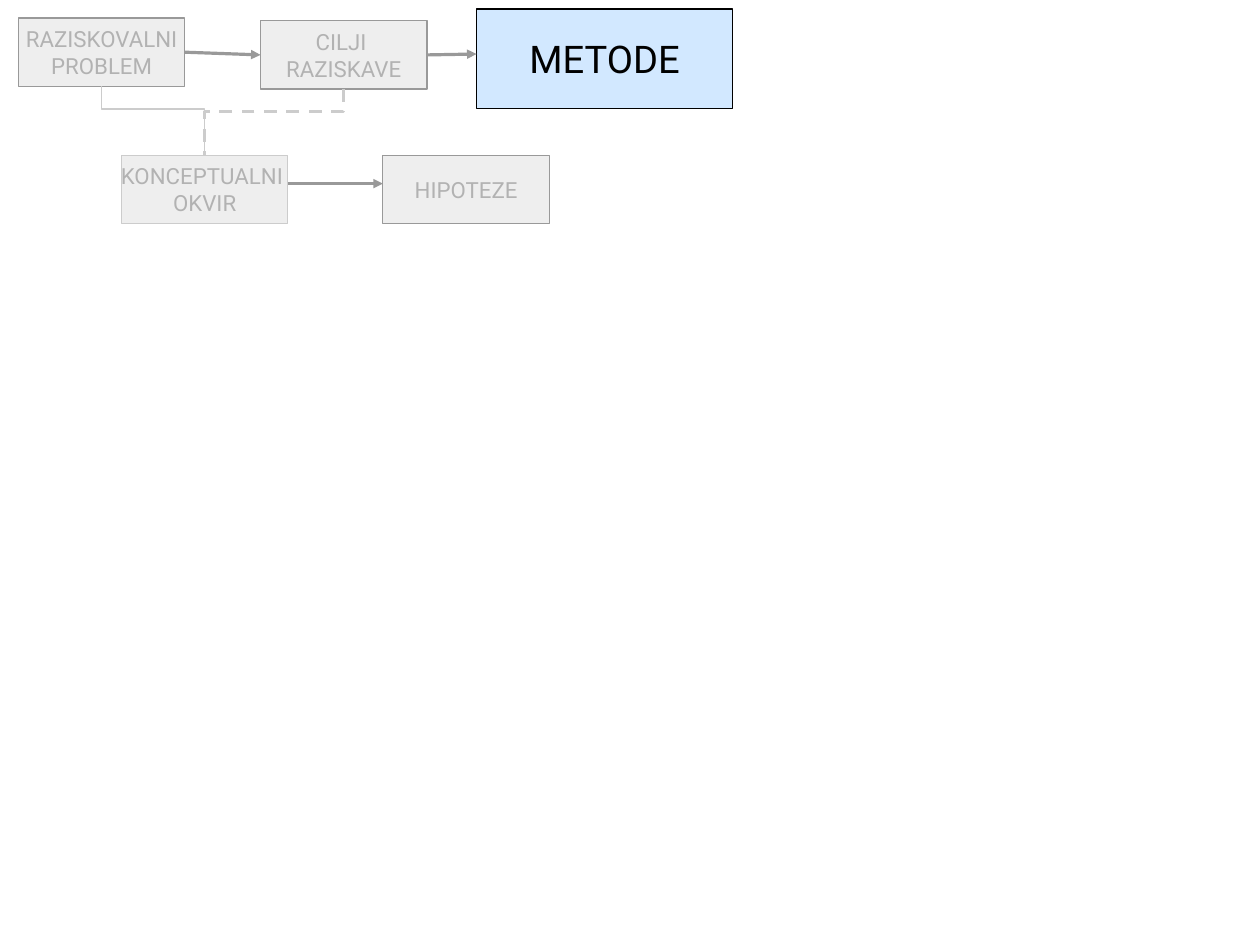
from dataclasses import dataclass

from lxml import etree
from pptx import Presentation
from pptx.dml.color import RGBColor
from pptx.enum.dml import MSO_LINE
from pptx.enum.shapes import MSO_CONNECTOR, MSO_SHAPE
from pptx.enum.text import MSO_ANCHOR, PP_ALIGN
from pptx.oxml.ns import qn
from pptx.util import Cm, Pt

RECT = MSO_SHAPE.RECTANGLE
LINE, ELBOW = MSO_CONNECTOR.STRAIGHT, MSO_CONNECTOR.ELBOW
DASH = MSO_LINE.DASH
MIDDLE, CENTER = MSO_ANCHOR.MIDDLE, PP_ALIGN.CENTER
LEFT, RIGHT = 1, 3


@dataclass(frozen=True)
class Theme:
    font: str = "Roboto"
    small: int = 14
    large: int = 24
    pale: str = "EEEEEE"
    soft: str = "CCCCCC"
    edge: str = "999999"
    text: str = "B2B2B2"
    blue: str = "99CCFF"
    dark: str = "000000"
    alpha: int = 44


THEME = Theme()
FRAME = {"word_wrap": False, "vertical_anchor": MIDDLE,
         "margin_left": Cm(0.25), "margin_right": Cm(0.25),
         "margin_top": Cm(0.13), "margin_bottom": Cm(0.13)}


def apply(item, values):
    for name, value in values.items():
        setattr(item, name, value)


def color(code):
    return RGBColor.from_string(code)


def add_box(slide, area, text, edge=THEME.edge, active=False):
    """Draw one step; the active step is large and tinted."""
    box = slide.shapes.add_shape(RECT, *map(Cm, area))
    box.shadow.inherit = False
    box.fill.solid()
    box.fill.fore_color.rgb = color(THEME.blue if active else THEME.pale)
    if active:
        tint = box.fill._xPr.find(".//" + qn("a:srgbClr"))
        etree.SubElement(tint, qn("a:alpha"), val=str(THEME.alpha * 1000))
    box.line.color.rgb = color(edge)
    box.line.width = Pt(0)
    frame = box.text_frame
    apply(frame, FRAME)
    frame.text = text
    para = frame.paragraphs[0]
    para.alignment = CENTER
    size = THEME.large if active else THEME.small
    apply(para.runs[0].font, {"name": THEME.font, "size": Pt(size)})
    for run in para.runs:
        apply(run.font, {"name": THEME.font, "size": Pt(size)})
        run.font.color.rgb = color(THEME.dark if active else THEME.text)
    return box


def add_link(slide, kind, ends, tint, width=0):
    link = slide.shapes.add_connector(kind, *map(int, ends))
    link.line.color.rgb = color(tint)
    link.line.width = Pt(width)
    etree.SubElement(link._element.spPr, qn("a:effectLst"))
    return link


def add_arrow(slide, start, end):
    arrow = add_link(slide, LINE, (*start, *end), THEME.edge)
    etree.SubElement(arrow.line._get_or_add_ln(), qn("a:tailEnd"),
                     type="triangle")
    return arrow


def add_elbow(slide, upper, lower, bend, width=0):
    """Lead from the bottom of one box to the top of another."""
    x1, y1 = upper.left + upper.width / 2, upper.top + upper.height
    x2, y2 = lower.left + lower.width / 2, lower.top
    # The preset runs sideways, so it is laid down and turned
    mid_x, mid_y = (x1 + x2) / 2, (y1 + y2) / 2
    half_w, half_h = (y2 - y1) / 2, abs(x2 - x1) / 2
    turn = 270 if x2 > x1 else 90
    side = half_w if x2 > x1 else -half_w
    ends = (mid_x + side, mid_y - half_h, mid_x - side, mid_y + half_h)
    elbow = add_link(slide, ELBOW, ends, THEME.soft, width)
    elbow.rotation = turn
    guides = elbow._element.spPr.find(".//" + qn("a:avLst"))
    etree.SubElement(guides, qn("a:gd"), name="adj1",
                     fmla=f"val {round(bend * 100000)}")
    return elbow


def add_flow(slide, left, top):
    """Place the research steps and the links between them."""
    wide, high = 3.7, 1.52
    row = top + 3.25

    # Steps
    problem = add_box(slide, (left, top + 0.2, wide, high),
                      "RAZISKOVALNI\vPROBLEM")
    goals = add_box(slide, (left + 5.38, top + 0.26, wide, high),
                    "CILJI \vRAZISKAVE")
    methods = add_box(slide, (left + 10.18, top, 5.69, 2.21), "METODE",
                      THEME.dark, True)
    concept = add_box(slide, (left + 2.29, row, wide, high),
                      "KONCEPTUALNI \vOKVIR", THEME.soft)
    theses = add_box(slide, (left + 8.1, row, wide, high), "HIPOTEZE")

    # Arrows
    level = Cm(top + 1)
    first = add_arrow(slide, (problem.left + problem.width, level),
                      (goals.left, level))
    first.begin_connect(problem, RIGHT)
    first.end_connect(goals, LEFT)
    second = add_arrow(slide, (goals.left + goals.width, level),
                       (methods.left, level))
    second.begin_connect(goals, RIGHT)
    level = Cm(row + 0.63)
    add_arrow(slide, (concept.left + concept.width, level),
              (theses.left, level))

    # Bent links
    add_elbow(slide, problem, concept, 0.33, 1)
    add_elbow(slide, goals, concept, 0.34).line.dash_style = DASH


def main():
    deck = Presentation()
    apply(deck, {"slide_width": Cm(28), "slide_height": Cm(21)})
    slide = deck.slides.add_slide(deck.slide_layouts[6])
    add_flow(slide, 0.41, 0.2)
    deck.save("out.pptx")


if __name__ == "__main__":
    main()
